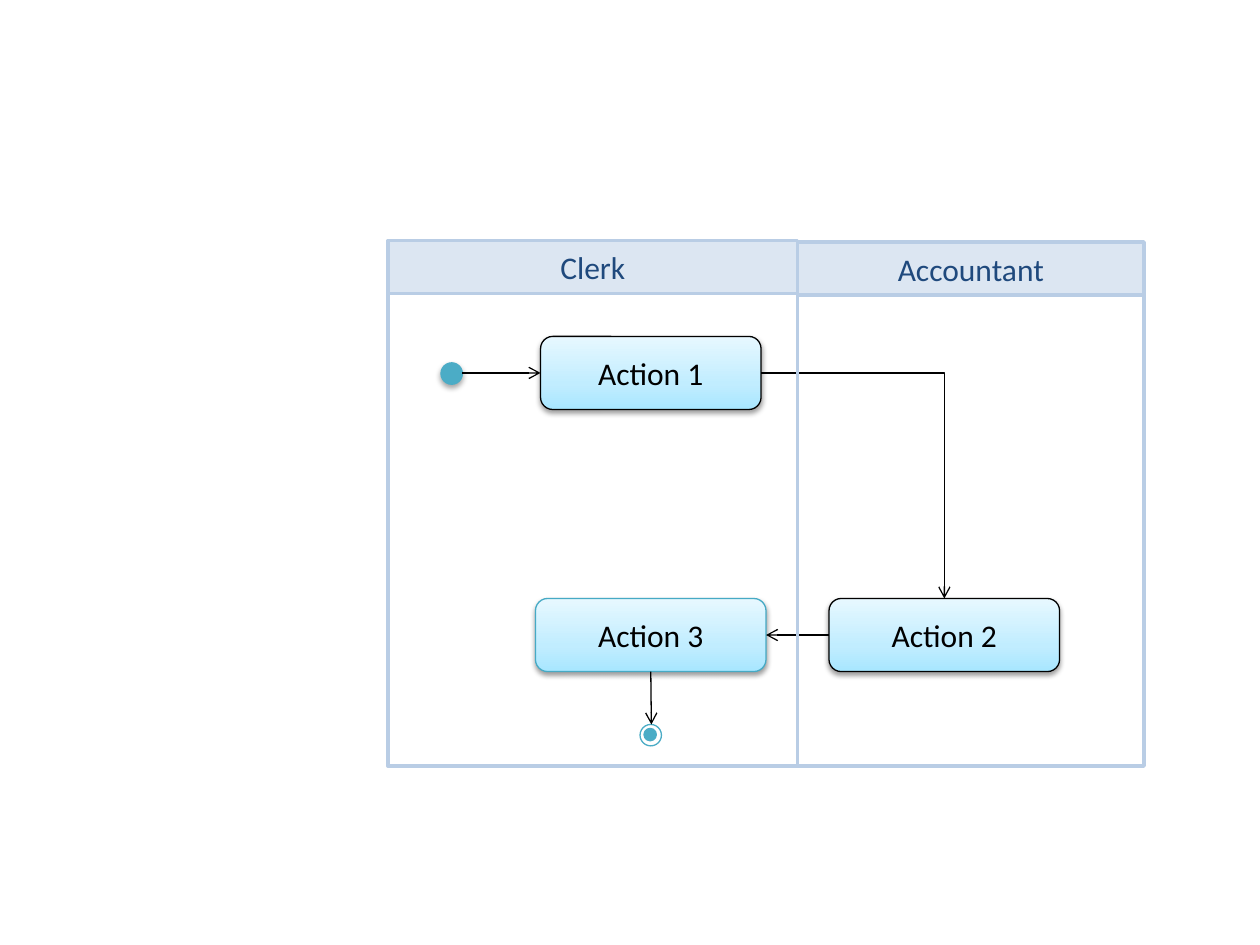
from copy import deepcopy
from dataclasses import dataclass
from typing import Optional

from lxml.etree import SubElement
from pptx import Presentation
from pptx.dml.color import RGBColor
from pptx.enum.shapes import MSO_CONNECTOR, MSO_SHAPE
from pptx.enum.text import MSO_ANCHOR, PP_ALIGN
from pptx.oxml.ns import qn
from pptx.util import Inches, Pt

BLACK = RGBColor(0x00, 0x00, 0x00)
WHITE = RGBColor(0xFF, 0xFF, 0xFF)
TEAL = RGBColor(0x4B, 0xAC, 0xC6)
ACTION_TEAL = RGBColor(0x46, 0xAA, 0xC5)
LANE_EDGE = RGBColor(0xB9, 0xCD, 0xE5)
LANE_HEAD = RGBColor(0xDC, 0xE6, 0xF2)
NAVY = RGBColor(0x1F, 0x49, 0x7D)
ACTION_GRADIENT = [
    (0, RGBColor(0xA7, 0xE6, 0xFF)),
    (0.35, RGBColor(0xC1, 0xED, 0xFF)),
    (1, RGBColor(0xE7, 0xF8, 0xFF)),
]

THIN, THICK = 0.75, 2
ACTION_HEIGHT = 0.58
LANE_TOP, LANE_HEIGHT, HEAD_HEIGHT = 2.33, 3.75, 0.42


@dataclass
class Action:
    label: str
    left: float
    top: float
    width: float
    edge: RGBColor


@dataclass
class Lane:
    label: str
    left: float
    width: float
    head_top: float


ACTIONS = [
    Action("Action 1", 4.29, 2.67, 1.75, BLACK),
    Action("Action 2", 6.58, 4.75, 1.83, BLACK),
    Action("Action 3", 4.25, 4.75, 1.83, ACTION_TEAL),
]
LANES = [
    Lane("Accountant", 6.33, 2.75, 1.92),
    Lane("Clerk", 3.08, 3.25, 1.91),
]


def add_box(shapes, preset: MSO_SHAPE, left: float, top: float, width: float,
            height: float, fill: Optional[RGBColor], edge: RGBColor,
            weight: float = THIN):
    box = shapes.add_shape(preset, Inches(left), Inches(top), Inches(width), Inches(height))
    box.shadow.inherit = False
    if fill is None:
        box.fill.background()
    else:
        box.fill.solid()
        box.fill.fore_color.rgb = fill
    box.line.color.rgb = edge
    box.line.width = Pt(weight)
    return box


def add_label(box, text: str, color: RGBColor) -> None:
    frame = box.text_frame
    frame.vertical_anchor = MSO_ANCHOR.MIDDLE
    frame.word_wrap = True
    paragraph = frame.paragraphs[0]
    paragraph.text = text
    paragraph.alignment = PP_ALIGN.CENTER
    for attribute, value in {"name": "Calibri", "size": Pt(18)}.items():
        setattr(paragraph.font, attribute, value)
    paragraph.font.color.rgb = color


def add_drop_shadow(box, distance: float, opacity: int) -> None:
    effects = box._element.spPr.find(qn("a:effectLst"))
    shadow = SubElement(effects, qn("a:outerShdw"), blurRad=str(Pt(3.1)),
                        dist=str(Pt(distance)), dir="5400000", rotWithShape="0")
    color = SubElement(shadow, qn("a:srgbClr"), val=str(BLACK))
    SubElement(color, qn("a:alpha"), val=str(opacity * 1000))


def fill_gradient(box) -> None:
    """Fill from bottom to top with the three action colours."""
    box.fill.gradient()
    box.fill.gradient_angle = 90
    stop_list = box._element.spPr.find(qn("a:gradFill")).find(qn("a:gsLst"))
    stop_list.append(deepcopy(stop_list[-1]))
    for stop, (position, color) in zip(box.fill.gradient_stops, ACTION_GRADIENT):
        stop.position = position
        stop.color.rgb = color


def add_action(shapes, action: Action):
    box = add_box(shapes, MSO_SHAPE.ROUNDED_RECTANGLE, action.left, action.top,
                  action.width, ACTION_HEIGHT, WHITE, action.edge)
    fill_gradient(box)
    add_drop_shadow(box, 1.6, 38)
    add_label(box, action.label, BLACK)
    return box


def add_arrow(shapes, start: tuple[float, float], end: tuple[float, float],
              kind: MSO_CONNECTOR = MSO_CONNECTOR.STRAIGHT):
    arrow = shapes.add_connector(kind, *(Inches(value) for value in (*start, *end)))
    arrow.line.color.rgb = BLACK
    arrow.line.width = Pt(THIN)
    SubElement(arrow.line._get_or_add_ln(), qn("a:tailEnd"), type="arrow")
    SubElement(arrow._element.spPr, qn("a:effectLst"))
    return arrow


def add_lane(shapes, lane: Lane) -> None:
    add_box(shapes, MSO_SHAPE.RECTANGLE, lane.left, LANE_TOP, lane.width,
            LANE_HEIGHT, None, LANE_EDGE, THICK)
    head = add_box(shapes, MSO_SHAPE.RECTANGLE, lane.left, lane.head_top, lane.width,
                   HEAD_HEIGHT, LANE_HEAD, LANE_EDGE, THICK)
    add_label(head, lane.label, NAVY)


def main() -> None:
    presentation = Presentation()
    presentation.slide_width = Inches(10)
    presentation.slide_height = Inches(7.5)
    shapes = presentation.slides.add_slide(presentation.slide_layouts[6]).shapes

    first, second, third = (add_action(shapes, action) for action in ACTIONS)

    start_node = add_box(shapes, MSO_SHAPE.OVAL, 3.5, 2.88, 0.17, 0.17, TEAL, TEAL)
    add_drop_shadow(start_node, 1.8, 35)
    end_node = shapes.add_group_shape().shapes
    add_box(end_node, MSO_SHAPE.OVAL, 5.08, 5.75, 0.17, 0.17, WHITE, TEAL)
    add_box(end_node, MSO_SHAPE.OVAL, 5.12, 5.79, 0.08, 0.08, TEAL, TEAL, THICK)

    add_arrow(shapes, (3.67, 2.96), (4.29, 2.96)).end_connect(first, 1)
    handover = add_arrow(shapes, (6.04, 2.96), (7.5, 4.75), MSO_CONNECTOR.ELBOW)
    handover._element.spPr.find(qn("a:prstGeom")).set("prst", "bentConnector2")
    handover.begin_connect(first, 3)
    handover.end_connect(second, 0)
    handback = add_arrow(shapes, (6.58, 5.04), (6.08, 5.04))
    handback.begin_connect(second, 1)
    handback.end_connect(third, 3)
    add_arrow(shapes, (5.17, 5.33), (5.17, 5.75)).begin_connect(third, 2)

    for lane in LANES:
        add_lane(shapes, lane)

    presentation.save("out.pptx")


if __name__ == "__main__":
    main()
